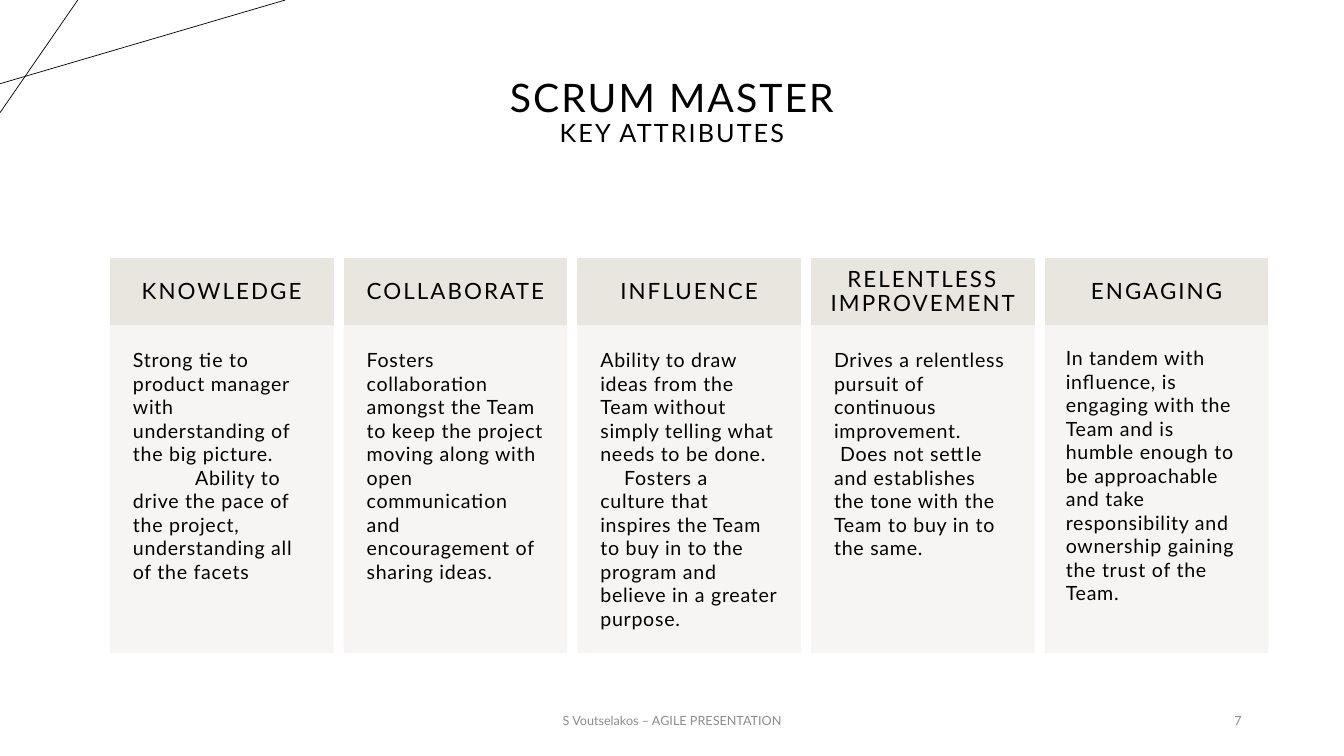
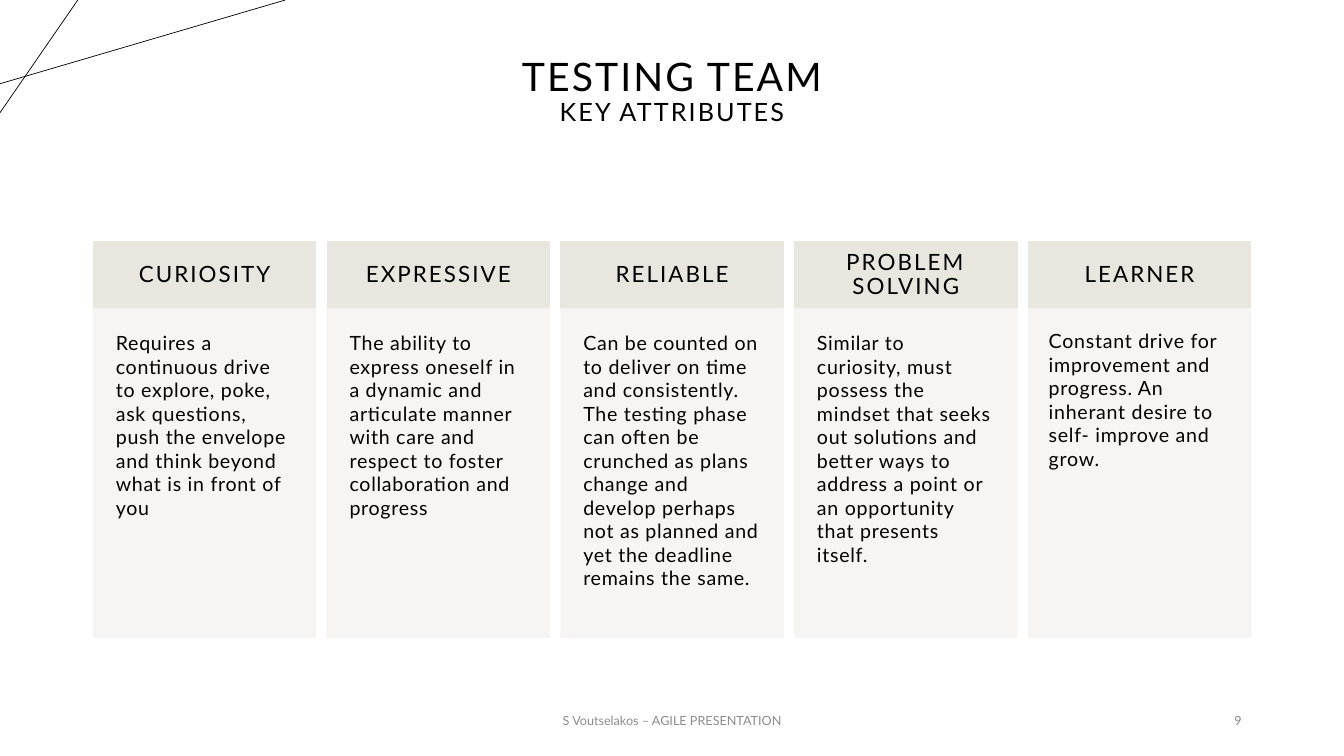
"""Build two slides of key attributes, each with five titled cards."""
import pptx
import pptx.dml.color
import pptx.enum.shapes
import pptx.enum.text
import pptx.oxml
import pptx.oxml.ns
import pptx.util

Cm = pptx.util.Cm
Pt = pptx.util.Pt
ALIGN = pptx.enum.text.PP_ALIGN
ANCHOR = pptx.enum.text.MSO_ANCHOR

COLORS = {"ink": "000000", "head": "E9E6DF", "body": "F7F5F3", "footer": "8C8C8C"}
FONT = "Lato"
FOOTER = "S Voutselakos – AGILE PRESENTATION"
STYLES = {
    "title": {"size": 28, "color": "ink", "tracking": 150, "align": ALIGN.CENTER, "spacing": 0.9},
    "subtitle": {"size": 18, "color": "ink", "tracking": 150, "align": ALIGN.CENTER, "spacing": 0.9},
    "head": {"size": 16, "color": "ink", "tracking": 150, "align": ALIGN.CENTER, "spacing": 0.9},
    "body": {"size": 14, "color": "ink", "tracking": 50, "align": ALIGN.LEFT, "spacing": 1.0},
    "footer": {"size": 9, "color": "footer", "tracking": 0, "align": ALIGN.CENTER, "spacing": 1.0},
    "number": {"size": 9, "color": "footer", "tracking": 0, "align": ALIGN.RIGHT, "spacing": 1.0},
}
CARD_WIDTH, CARD_GAP, HEAD_HEIGHT = 5.6, 0.29, 1.68


def rgb(name):
    return pptx.dml.color.RGBColor.from_string(COLORS[name])


def child_xml(tag, attributes=""):
    return pptx.oxml.parse_xml(f"<a:{tag} {pptx.oxml.ns.nsdecls('a')} {attributes}/>")


class Deck:
    def __init__(self):
        self.prs = pptx.Presentation()
        self.prs.slide_width = Cm(33.87)
        self.prs.slide_height = Cm(19.05)
        self.slide = None

    def new_slide(self, number):
        self.slide = self.prs.slides.add_slide(self.prs.slide_layouts[6])
        self.line(0, 2.11, 7.19, 0)
        self.line(1.96, 0, 0, 2.84)
        self.text_box(11.22, 17.65, 11.43, 1.02, [("footer", FOOTER, 0)])
        self.text_box(23.92, 17.65, 7.62, 1.02, [("number", str(number), 0)])

    def line(self, x1, y1, x2, y2):
        stroke = self.slide.shapes.add_connector(
            pptx.enum.shapes.MSO_CONNECTOR.STRAIGHT, Cm(x1), Cm(y1), Cm(x2), Cm(y2))
        stroke.line.color.rgb = rgb("ink")
        stroke.line.width = Pt(0.5)
        stroke._element.spPr.append(child_xml("effectLst"))

    def set_text(self, frame, paragraphs, anchor, inset=None):
        layout = {"word_wrap": True, "vertical_anchor": anchor}
        if inset is not None:
            layout.update({f"margin_{side}": Cm(inset) for side in ("left", "top", "right", "bottom")})
        for attribute, value in layout.items():
            setattr(frame, attribute, value)
        for index, (style_name, words, indent) in enumerate(paragraphs):
            style = STYLES[style_name]
            paragraph = frame.add_paragraph() if index else frame.paragraphs[0]
            paragraph.alignment = style["align"]
            paragraph.line_spacing = style["spacing"]
            if indent:
                paragraph._p.get_or_add_pPr().set("indent", str(Cm(indent)))
            run = paragraph.add_run()
            run.text = words
            for attribute, value in {"name": FONT, "size": Pt(style["size"])}.items():
                setattr(run.font, attribute, value)
            run.font.color.rgb = rgb(style["color"])
            run._r.get_or_add_rPr().set("spc", str(style["tracking"]))

    def text_box(self, left, top, width, height, paragraphs):
        box = self.slide.shapes.add_textbox(Cm(left), Cm(top), Cm(width), Cm(height))
        self.set_text(box.text_frame, paragraphs, ANCHOR.MIDDLE)

    def title(self, top, heading, subheading):
        self.text_box(2.33, top, 29.21, 3.68, [("title", heading, 0), ("subtitle", subheading, 0)])

    def panel(self, left, top, height, color, paragraphs, anchor, inset, opacity=100):
        panel = self.slide.shapes.add_shape(
            pptx.enum.shapes.MSO_SHAPE.RECTANGLE, Cm(left), Cm(top), Cm(CARD_WIDTH), Cm(height))
        panel.shadow.inherit = False
        panel.fill.solid()
        panel.line.width = Pt(1)
        for paint in (panel.fill.fore_color, panel.line.color):
            paint.rgb = rgb(color)
        if opacity < 100:
            for swatch in panel._element.spPr.iter(pptx.oxml.ns.qn("a:srgbClr")):
                swatch.append(child_xml("alpha", f'val="{opacity * 1000}"'))
        self.set_text(panel.text_frame, paragraphs, anchor, inset)

    def cards(self, left, top, body_height, cards):
        for index, (heading, *passages) in enumerate(cards):
            x = left + index * (CARD_WIDTH + CARD_GAP)
            body_inset = 0.51 if index == len(cards) - 1 else 0.56
            self.panel(x, top, HEAD_HEIGHT, "head", [("head", heading, 0)], ANCHOR.MIDDLE, 0.43)
            self.panel(x, top + HEAD_HEIGHT, body_height, "body",
                       [("body", words, indent) for words, indent in passages],
                       ANCHOR.TOP, body_inset, opacity=90)


SLIDES = [
    {
        "number": 7, "heading": "SCRUM MASTER", "title_top": 1.02,
        "left": 2.79, "top": 6.53, "body_height": 8.23,
        "cards": [
            ("KNOWLEDGE",
             ("Strong tie to product manager with understanding of the big picture.", 0),
             ("Ability to drive the pace of the project, understanding all of the facets", 1.57)),
            ("COLLABORATE",
             ("Fosters collaboration amongst the Team to keep the project moving along with open "
              "communication and encouragement of sharing ideas.", 0)),
            ("INFLUENCE",
             ("Ability to draw ideas from the Team without simply telling what needs to be done.", 0),
             ("Fosters a culture that inspires the Team to buy in to the program and believe in a "
              "greater purpose.", 0.6)),
            ("RELENTLESS IMPROVEMENT",
             ("Drives a relentless pursuit of continuous improvement.", 0),
             ("Does not settle and establishes the tone with the Team to buy in to the same.", 0.15)),
            ("ENGAGING",
             ("In tandem with influence, is engaging with the Team and is humble enough to be "
              "approachable and take responsibility and ownership gaining the trust of the Team.", 0)),
        ],
    },
    {
        "number": 9, "heading": "TESTING TEAM", "title_top": 0.49,
        "left": 2.36, "top": 6.1, "body_height": 8.28,
        "cards": [
            ("CURIOSITY",
             ("Requires a continuous drive to explore, poke, ask questions, push the envelope and "
              "think beyond what is in front of you", 0)),
            ("EXPRESSIVE",
             ("The ability to express oneself in a dynamic and articulate manner with care and "
              "respect to foster collaboration and progress", 0)),
            ("RELIABLE",
             ("Can be counted on to deliver on time and consistently. The testing phase can often "
              "be crunched as plans change and develop perhaps not as planned and yet the deadline "
              "remains the same.", 0)),
            ("PROBLEM SOLVING",
             ("Similar to curiosity, must possess the mindset that seeks out solutions and better "
              "ways to address a point or an opportunity that presents itself.", 0)),
            ("LEARNER",
             ("Constant drive for improvement and progress. An inherant desire to self- improve "
              "and grow.", 0)),
        ],
    },
]


def main():
    deck = Deck()
    for content in SLIDES:
        deck.new_slide(content["number"])
        deck.title(content["title_top"], content["heading"], "KEY ATTRIBUTES")
        deck.cards(content["left"], content["top"], content["body_height"], content["cards"])
    deck.prs.save("out.pptx")


if __name__ == "__main__":
    main()
